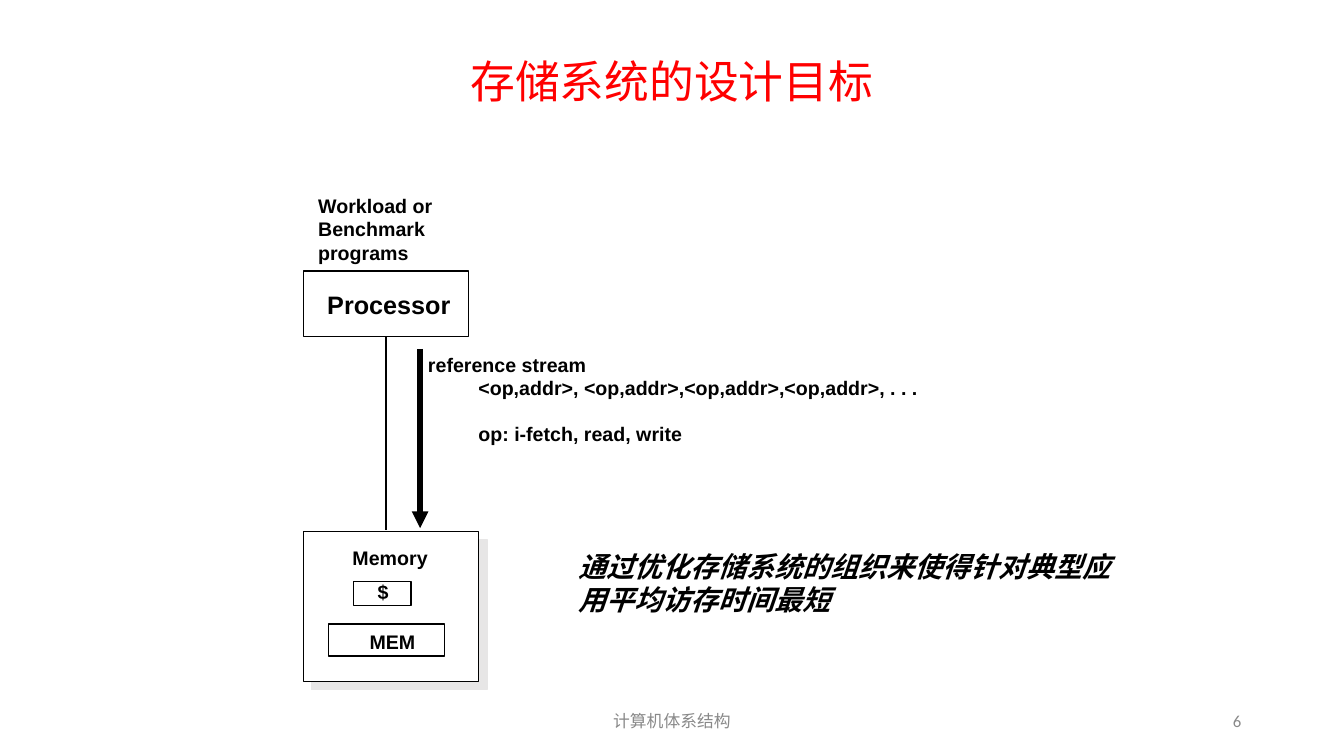
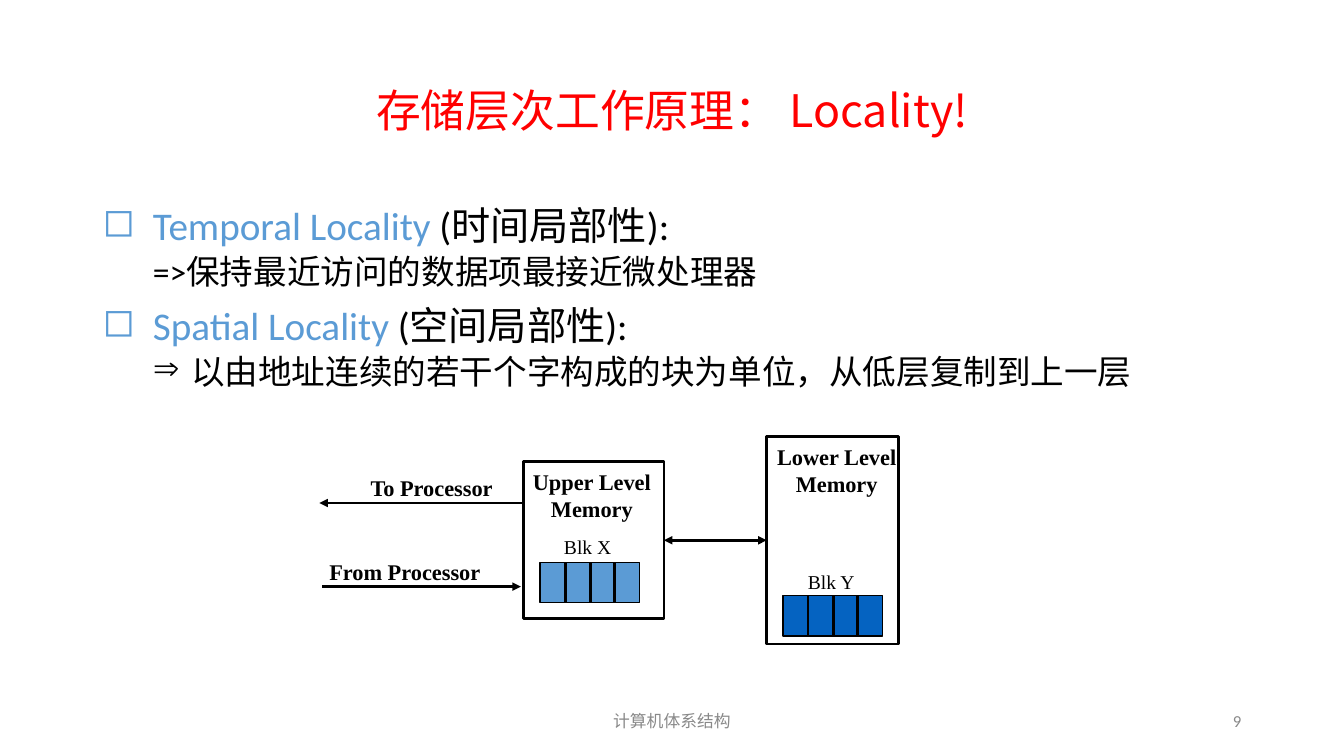
"""Build two slides on memory system goals and the principle of locality."""
from dataclasses import dataclass

from lxml.etree import SubElement
from pptx import Presentation
from pptx.dml.color import RGBColor
from pptx.enum.shapes import MSO_CONNECTOR, MSO_SHAPE
from pptx.enum.text import MSO_ANCHOR, MSO_AUTO_SIZE, PP_ALIGN
from pptx.oxml.ns import qn
from pptx.util import Emu, Pt

PX = 9144
LEFT, CENTER, RIGHT = PP_ALIGN.LEFT, PP_ALIGN.CENTER, PP_ALIGN.RIGHT
TOP, BOTTOM_SITE, LEFT_SITE, RIGHT_SITE = MSO_ANCHOR.TOP, 2, 1, 3


@dataclass(frozen=True)
class Theme:
    """Colours, fonts and type sizes shared by the slides."""
    ink: str = "000000"
    paper: str = "FFFFFF"
    title: str = "FF0000"
    accent: str = "5B9BD5"
    deep: str = "0563C1"
    shade: str = "E7E6E6"
    muted: str = "898989"
    sans: str = "Arial"
    serif: str = "Times New Roman"
    body: str = "Calibri"
    chinese: str = "Noto Sans CJK SC"
    title_size: int = 32
    topic_size: int = 28
    detail_size: int = 24
    goal_size: int = 20
    unit_size: int = 18
    level_size: int = 16
    label_size: int = 14
    footer_size: int = 12


THEME = Theme()
FOOTER = "计算机体系结构"
FOOTER_AT, NUMBER_AT = (442, 695, 450, 40), (942, 695, 300, 40)

GOAL_TITLE = ("存储系统的设计目标", 86, 6)
LOCALITY_TITLE = ("存储层次工作原理： Locality!", 145, 9)

PROCESSOR_AT = (301, 269, 164, 65)
MEMORY_AT = (301, 527, 174, 149)
MEMORY_PARTS = [(351, 577, 57, 24), (326, 619, 115, 32)]
GOAL_LABELS = [
    (["Processor"], (315, 282, 144, 40), THEME.unit_size),
    (["$"], (365, 570, 33, 33), THEME.label_size),
    (["MEM"], (357, 620, 70, 33), THEME.label_size),
    (["Memory"], (340, 537, 98, 33), THEME.label_size),
    (["Workload or", "Benchmark", "programs"], (306, 187, 137, 80), THEME.label_size),
]
STREAM_AT = (415, 345, 510, 103)
STREAM = [
    ("reference stream", 0, 0),
    ("<op,addr>, <op,addr>,<op,addr>,<op,addr>, . . .", 50, 0),
    ("op: i-fetch, read, write", 50, 16),
]
GOAL = "通过优化存储系统的组织来使得针对典型应用平均访存时间最短"
GOAL_AT = (564, 540, 561, 76)

TOPICS_AT = (92, 200, 1150, 476)
TOPICS = [
    ("Temporal Locality ", "(时间局部性):", "=>保持最近访问的数据项最接近微处理器", None),
    ("Spatial Locality ", "(空间局部性):",
     "以由地址连续的若干个字构成的块为单位，从低层复制到上一层", "⇒"),
]
UPPER_AT, LOWER_AT = (520, 458, 139, 156), (761, 433, 131, 206)
LEVEL_LABELS = [
    (["Lower Level", "Memory"], (761, 435, 139, 63), CENTER),
    (["Upper Level", "Memory"], (519, 460, 137, 63), CENTER),
    (["To Processor"], (358, 465, 144, 36), LEFT),
    (["From Processor"], (317, 549, 171, 36), LEFT),
]
PROCESSOR_ARROWS = [((520, 499), (317, 499)), ((320, 582), (517, 582))]
BLOCKS = [
    ("Blk X", (550, 526, 67, 33), (536, 558, 99, 40), THEME.accent),
    ("Blk Y", (792, 560, 67, 33), (777, 591, 99, 40), THEME.deep),
]
BLOCK_WORDS = 4


def px(*lengths):
    return [Emu(length * PX) for length in lengths]


def rgb(color):
    return RGBColor.from_string(color)


def write(frame, text, size=THEME.label_size, font=THEME.sans, color=THEME.ink,
          bold=False, italic=False, align=LEFT, line=1.0, before=0,
          left=0, hang=0, bullet=None, bullet_color=THEME.ink):
    para = frame.add_paragraph() if frame.text else frame.paragraphs[0]
    para.alignment, para.line_spacing = align, line
    para.space_before, para.space_after = Pt(before), Pt(0)
    properties = para._p.get_or_add_pPr()
    properties.set("marL", str(left * PX))
    properties.set("indent", str(-hang * PX))
    if bullet:
        tint = SubElement(properties, qn("a:buClr"))
        SubElement(tint, qn("a:srgbClr"), val=bullet_color)
        SubElement(properties, qn("a:buChar"), char=bullet)
    else:
        SubElement(properties, qn("a:buNone"))
    for words, tone in [(text, color)] if isinstance(text, str) else text:
        span = para.add_run()
        span.text = words
        style = span.font
        style.size, style.bold, style.italic = Pt(size), bold, italic
        style.name, style.color.rgb = font, rgb(tone)
        SubElement(span._r.get_or_add_rPr(), qn("a:ea"), typeface=THEME.chinese)


def text_frame(page, at, wrap=False, anchor=TOP):
    frame = page.shapes.add_textbox(*px(*at)).text_frame
    frame.word_wrap, frame.vertical_anchor = wrap, anchor
    frame.auto_size = MSO_AUTO_SIZE.NONE if wrap else MSO_AUTO_SIZE.SHAPE_TO_FIT_TEXT
    return frame


def add_label(page, lines, at, **style):
    frame = text_frame(page, at)
    for line in lines:
        write(frame, line, **style)


def add_box(page, at, fill=None, weight=1):
    box = page.shapes.add_shape(MSO_SHAPE.RECTANGLE, *px(*at))
    box.shadow.inherit = False
    if fill:
        box.fill.solid()
        box.fill.fore_color.rgb = rgb(fill)
    else:
        box.fill.background()
    box.line.color.rgb, box.line.width = rgb(THEME.ink), Pt(weight)
    return box


def add_shade(box):
    effects = box._element.spPr.find(qn("a:effectLst"))
    shadow = SubElement(effects, qn("a:outerShdw"), blurRad="0", dist=str(Pt(8.5)),
                        dir="2700000", algn="ctr", rotWithShape="0")
    SubElement(shadow, qn("a:srgbClr"), val=THEME.shade)


def add_line(page, start, end, weight=2, heads=()):
    line = page.shapes.add_connector(MSO_CONNECTOR.STRAIGHT, *px(*start, *end))
    line.line.color.rgb, line.line.width = rgb(THEME.ink), Pt(weight)
    properties = line._element.spPr
    for head in heads:
        SubElement(properties.find(qn("a:ln")), qn(f"a:{head}"), type="triangle")
    SubElement(properties, qn("a:effectLst"))
    return line


def add_page(deck, title, title_height, number):
    page = deck.slides.add_slide(deck.slide_layouts[5])
    holder = page.shapes.title
    holder.left, holder.top, holder.width, holder.height = px(92, 40, 1150, title_height)
    frame = holder.text_frame
    frame.auto_size, frame.vertical_anchor = MSO_AUTO_SIZE.NONE, MSO_ANCHOR.MIDDLE
    write(frame, title, size=THEME.title_size, font=THEME.chinese,
          color=THEME.title, align=CENTER, line=0.9)
    for text, at, align in [(FOOTER, FOOTER_AT, CENTER), (str(number), NUMBER_AT, RIGHT)]:
        write(text_frame(page, at, wrap=True, anchor=MSO_ANCHOR.MIDDLE), text,
              size=THEME.footer_size, font=THEME.body, color=THEME.muted, align=align)
    return page


def build_goal(deck):
    page = add_page(deck, *GOAL_TITLE)
    processor = add_box(page, PROCESSOR_AT, THEME.paper)
    add_shade(add_box(page, MEMORY_AT, THEME.paper))
    for at in MEMORY_PARTS:
        add_box(page, at, THEME.paper)
    bus = add_line(page, (383, 334), (383, 526), weight=1)
    bus.begin_connect(processor, BOTTOM_SITE)
    add_line(page, (417, 346), (417, 524), weight=4, heads=["tailEnd"])
    for lines, at, size in GOAL_LABELS:
        add_label(page, lines, at, size=size, bold=True)
    stream = text_frame(page, STREAM_AT)
    for text, left, before in STREAM:
        write(stream, text, bold=True, left=left, before=before)
    write(text_frame(page, GOAL_AT, wrap=True), GOAL, size=THEME.goal_size,
          bold=True, italic=True)


def add_block(page, name, name_at, at, fill):
    add_box(page, at, fill)
    add_label(page, [name], name_at, font=THEME.serif)
    left, top, width, height = at
    for word in range(1, BLOCK_WORDS):
        x = left + round(width * word / BLOCK_WORDS)
        add_line(page, (x, top), (x, top + height))


def build_locality(deck):
    page = add_page(deck, *LOCALITY_TITLE)
    topics = text_frame(page, TOPICS_AT, wrap=True)
    for name, meaning, detail, mark in TOPICS:
        write(topics, [(name, THEME.accent), (meaning, THEME.ink)],
              size=THEME.topic_size, font=THEME.body, line=0.9, before=10,
              left=50, hang=50, bullet="◻", bullet_color=THEME.accent)
        write(topics, detail, size=THEME.detail_size, font=THEME.body, line=0.9,
              before=5, left=88, hang=38, bullet=mark)
    upper, lower = [add_box(page, at, weight=2) for at in (UPPER_AT, LOWER_AT)]
    for lines, at, align in LEVEL_LABELS:
        add_label(page, lines, at, size=THEME.level_size, font=THEME.serif,
                  bold=True, align=align)
    for start, end in PROCESSOR_ARROWS:
        add_line(page, start, end, heads=["tailEnd"])
    transfer = add_line(page, (659, 536), (761, 536), heads=["headEnd", "tailEnd"])
    transfer.begin_connect(upper, RIGHT_SITE)
    transfer.end_connect(lower, LEFT_SITE)
    for block in BLOCKS:
        add_block(page, *block)


def main():
    deck = Presentation()
    deck.slide_width, deck.slide_height = px(1334, 750)
    build_goal(deck)
    build_locality(deck)
    deck.save("out.pptx")


if __name__ == "__main__":
    main()
